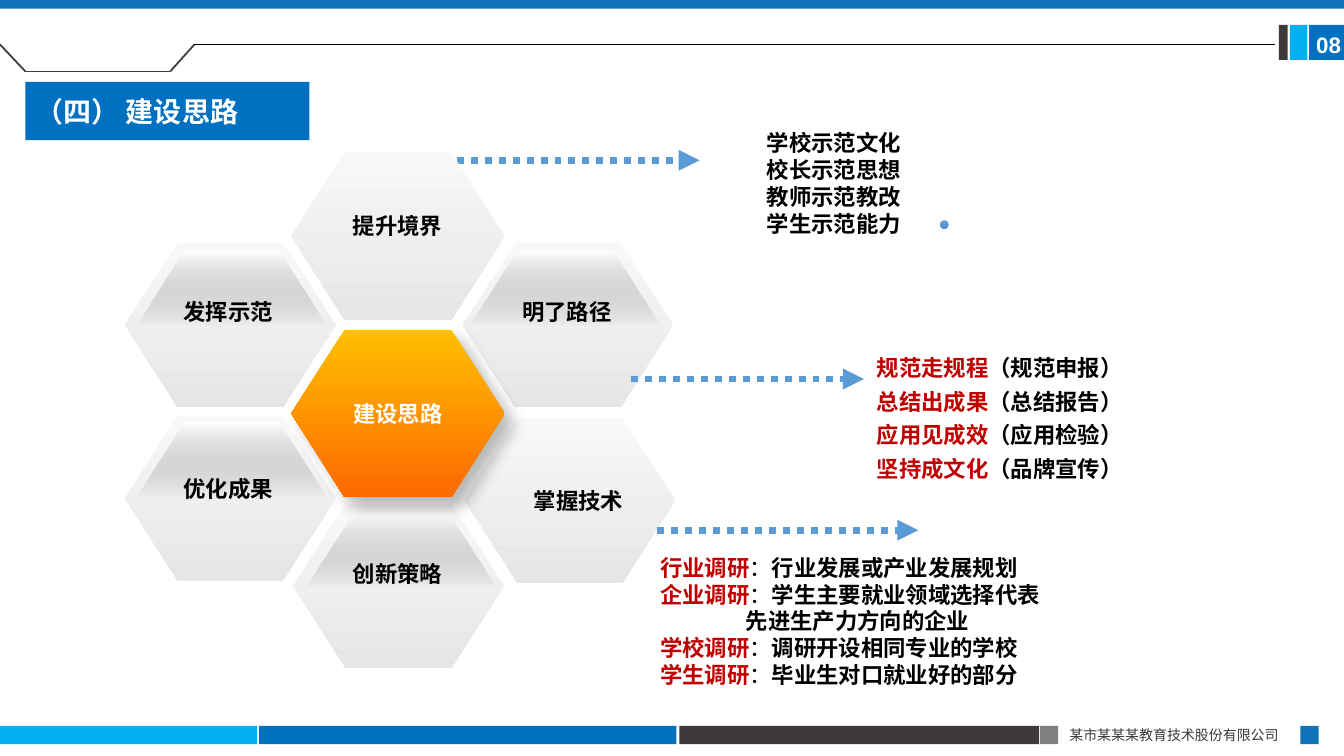
from dataclasses import dataclass
from typing import Optional

from lxml.etree import SubElement
from pptx import Presentation
from pptx.dml.color import RGBColor
from pptx.enum.dml import MSO_LINE
from pptx.enum.shapes import MSO_CONNECTOR, MSO_SHAPE
from pptx.enum.text import MSO_ANCHOR, MSO_AUTO_SIZE, PP_ALIGN
from pptx.oxml.ns import qn
from pptx.util import Cm, Pt


@dataclass(frozen=True)
class Theme:
    blue: str = "0070C0"
    deep_blue: str = "1074BB"
    sky: str = "00B0F0"
    charcoal: str = "3E3A39"
    grey: str = "808080"
    arrow: str = "5B9BD5"
    red: str = "C00000"
    black: str = "000000"
    white: str = "FFFFFF"
    cell: tuple = ("F9F8F8", "E7E6E6")
    gloss: tuple = ("FFFFFF", "767676")
    core: tuple = ("FFC000", "FE6900")
    dot: tuple = ("71A6DB", "448ACA")
    font: str = "Noto Sans CJK SC"
    title_size: int = 20
    body_size: int = 16
    small_size: int = 10


THEME = Theme()


@dataclass(frozen=True)
class Box:
    left: float
    top: float
    width: float
    height: float

    def lengths(self) -> tuple:
        return Cm(self.left), Cm(self.top), Cm(self.width), Cm(self.height)


@dataclass(frozen=True)
class Span:
    text: str
    color: str = THEME.black
    bold: bool = True
    size: int = THEME.body_size
    font: str = THEME.font


@dataclass(frozen=True)
class Para:
    spans: tuple
    indent: float = 0


@dataclass(frozen=True)
class Line:
    start: tuple
    end: tuple
    color: str = THEME.charcoal
    width: float = 1.25
    arrow: bool = False


HEXAGON = ((0.25, 1), (0, 0.5), (0.25, 0), (0.75, 0), (1, 0.5), (0.75, 1))
TRAPEZOID = ((0, 1), (0.25, 0), (0.75, 0), (1, 1))

BARS = (
    (Box(0, 18.29, 6.48, 0.46), THEME.sky),
    (Box(6.53, 18.29, 10.52, 0.46), THEME.blue),
    (Box(17.12, 18.29, 9.07, 0.46), THEME.charcoal),
    (Box(26.21, 18.29, 0.46, 0.46), THEME.grey),
    (Box(32.77, 18.29, 0.46, 0.46), THEME.deep_blue),
    (Box(32.99, 0.63, 0.88, 0.88), THEME.blue),
    (Box(32.51, 0.63, 0.44, 0.88), THEME.sky),
    (Box(32.23, 0.63, 0.22, 0.88), THEME.charcoal),
    (Box(0, 0, 33.87, 0.22), THEME.deep_blue),
)
HEADER_LINES = (
    Line((0.64, 1.8), (4.29, 1.8)),
    Line((4.29, 1.8), (4.9, 1.12)),
    Line((0.64, 1.8), (0, 1.12)),
    Line((4.9, 1.12), (32.13, 1.12), THEME.black, 0.5),
)
ARROWS = tuple(
    Line((start, y), (end, y), THEME.arrow, 5, True)
    for start, end, y in ((11.51, 17.63, 4.04), (15.9, 21.77, 9.55), (16.56, 23.14, 13.36))
)
CELLS = ((7.39, 3.91), (7.39, 12.7), (11.66, 6.12), (3.15, 6.12), (3.15, 10.49))
GLOSSES = ((7.7, 4.06), (3.43, 6.32), (11.84, 6.32), (7.7, 8.48), (3.43, 10.64), (7.7, 12.93))
LABELS = (
    ("创新策略", 7.95, 14),
    ("发挥示范", 3.68, 7.39),
    ("优化成果", 3.68, 11.84),
    ("提升境界", 7.95, 5.23),
    ("明了路径", 12.22, 7.39),
    ("掌握技术", 12.51, 12.14),
)
EXAMPLES = ("学校示范文化", "校长示范思想", "教师示范教改", "学生示范能力")
PATHWAYS = (
    ("规范走规程", "（规范申报）"),
    ("总结出成果", "（总结报告）"),
    ("应用见成效", "（应用检验）"),
    ("坚持成文化", "（品牌宣传）"),
)
SURVEYS = (
    ("行业调研", "行业发展或产业发展规划"),
    ("企业调研", "学生主要就业领域选择代表"),
    ("", "先进生产力方向的企业"),
    ("学校调研", "调研开设相同专业的学校"),
    ("学生调研", "毕业生对口就业好的部分"),
)


def rgb(color: str) -> RGBColor:
    return RGBColor.from_string(color)


def format_run(run, span: Span) -> None:
    run.font.name = span.font
    run.font.size = Pt(span.size)
    run.font.bold = span.bold
    run.font.color.rgb = rgb(span.color)
    SubElement(run.font._element, qn("a:ea"), typeface=THEME.font)


def write(frame, paras: list, align=PP_ALIGN.LEFT, spacing: Optional[float] = None) -> None:
    for index, para in enumerate(paras):
        paragraph = frame.paragraphs[0] if index == 0 else frame.add_paragraph()
        paragraph.alignment = align
        if spacing:
            paragraph.line_spacing = spacing
        if para.indent:
            paragraph._p.get_or_add_pPr().set("marL", str(Cm(para.indent)))
        for span in para.spans:
            run = paragraph.add_run()
            run.text = span.text
            format_run(run, span)


def add_text(page, box: Box, paras: list, align=PP_ALIGN.LEFT,
             spacing: Optional[float] = None, inset: float = 0.25):
    frame = page.shapes.add_textbox(*box.lengths()).text_frame
    frame.word_wrap = True
    frame.margin_left = frame.margin_right = Cm(inset)
    frame.margin_top = frame.margin_bottom = Cm(inset / 2)
    write(frame, paras, align, spacing)


def paint(shape, fill) -> None:
    shape.shadow.inherit = False
    shape.line.fill.background()
    if isinstance(fill, str):
        shape.fill.solid()
        shape.fill.fore_color.rgb = rgb(fill)
        return
    shape.fill.gradient()
    shape.fill.gradient_angle = 270
    for position, (stop, color) in enumerate(zip(shape.fill.gradient_stops, fill)):
        stop.position = position
        stop.color.rgb = rgb(color)


def set_opacity(shape, percent: int) -> None:
    color = shape._element.spPr.findall(".//" + qn("a:srgbClr"))[-1]
    SubElement(color, qn("a:alpha"), val=str(percent * 1000))


def add_polygon(page, outline: tuple, box: Box, fill):
    points = [(Cm(box.left + x * box.width), Cm(box.top + y * box.height)) for x, y in outline]
    builder = page.shapes.build_freeform(*points[0])
    builder.add_line_segments(points[1:], close=True)
    shape = builder.convert_to_shape()
    paint(shape, fill)
    return shape


def add_cell(page, left: float, top: float, fill=THEME.cell):
    return add_polygon(page, HEXAGON, Box(left, top, 5.31, 4.14), fill)


def add_line(page, line: Line) -> None:
    ends = [Cm(value) for value in line.start + line.end]
    connector = page.shapes.add_connector(MSO_CONNECTOR.STRAIGHT, *ends)
    connector.line.color.rgb = rgb(line.color)
    connector.line.width = Pt(line.width)
    if line.arrow:
        connector.line.dash_style = MSO_LINE.ROUND_DOT
        SubElement(connector.line._get_or_add_ln(), qn("a:tailEnd"), type="triangle")
    SubElement(connector._element.spPr, qn("a:effectLst"))


def add_title(page) -> None:
    title = page.shapes.title
    title.left, title.top, title.width, title.height = Box(0.64, 2.06, 7.16, 1.47).lengths()
    title.fill.solid()
    title.fill.fore_color.rgb = rgb(THEME.blue)
    frame = title.text_frame
    frame.auto_size = MSO_AUTO_SIZE.NONE
    frame.vertical_anchor = MSO_ANCHOR.MIDDLE
    span = Span("（四） 建设思路", THEME.white, size=THEME.title_size, font="Calibri")
    write(frame, [Para((span,))])


def add_core(page) -> None:
    core = add_polygon(page, HEXAGON, Box(7.34, 8.31, 5.38, 4.22), THEME.core)
    effects = core._element.spPr.find(qn("a:effectLst"))
    shadow = SubElement(effects, qn("a:outerShdw"), blurRad=str(Pt(11.8)), dist=str(Pt(10)),
                        dir=str(48 * 60000), algn="tl", rotWithShape="0")
    color = SubElement(shadow, qn("a:srgbClr"), val=THEME.black)
    SubElement(color, qn("a:alpha"), val="28000")
    core.text_frame.vertical_anchor = MSO_ANCHOR.MIDDLE
    core.text_frame.word_wrap = False
    write(core.text_frame, [Para((Span("建设思路", THEME.white),))], PP_ALIGN.CENTER)


def add_honeycomb(page) -> None:
    for left, top in CELLS:
        add_cell(page, left, top)
    for left, top in GLOSSES:
        set_opacity(add_polygon(page, TRAPEZOID, Box(left, top, 4.8, 1.88), THEME.gloss), 0)
    rim = add_cell(page, 11.58, 10.46, THEME.white)
    set_opacity(rim, 15)
    rim.line.color.rgb = rgb(THEME.white)
    rim.line.width = Pt(1.75)
    rim.line.dash_style = MSO_LINE.ROUND_DOT
    add_cell(page, 11.71, 10.54)
    add_core(page)
    add_line(page, ARROWS[0])
    add_polygon(page, HEXAGON, Box(7.34, 3.84, 5.38, 4.22), THEME.cell)
    for text, left, top in LABELS:
        add_text(page, Box(left, top, 4.14, 0.94), [Para((Span(text),))], PP_ALIGN.CENTER)


def survey_para(topic: str, detail: str) -> Para:
    if not topic:
        return Para((Span(detail),), 2.16)
    return Para((Span(topic, THEME.red), Span("：", bold=False), Span(detail)))


def add_notes(page) -> None:
    add_text(page, Box(19, 3.1, 5.72, 3.07), [Para((Span(text),)) for text in EXAMPLES], inset=0.33)
    pathways = [Para((Span(goal, THEME.red), Span(means))) for goal, means in PATHWAYS]
    add_text(page, Box(21.77, 8.59, 7.92, 3.76), pathways, spacing=1.25, inset=0.33)
    surveys = [survey_para(topic, detail) for topic, detail in SURVEYS]
    add_text(page, Box(16.31, 13.79, 13.67, 3.76), surveys, inset=0.33)


def main() -> None:
    deck = Presentation()
    deck.slide_width, deck.slide_height = Cm(33.87), Cm(19.05)
    page = deck.slides.add_slide(deck.slide_layouts[5])
    for box, color in BARS:
        paint(page.shapes.add_shape(MSO_SHAPE.RECTANGLE, *box.lengths()), color)
    company = Span("某市某某某教育技术股份有限公司", THEME.charcoal, False, THEME.small_size)
    add_text(page, Box(26.7, 18.19, 6.1, 0.69), [Para((company,))])
    for line in HEADER_LINES:
        add_line(page, line)
    add_title(page)
    add_honeycomb(page)
    dot = page.shapes.add_shape(MSO_SHAPE.OVAL, *Box(23.7, 5.56, 0.2, 0.2).lengths())
    paint(dot, THEME.dot)
    dot.line.color.rgb = rgb(THEME.arrow)
    dot.line.width = Pt(0.5)
    for arrow in ARROWS[1:]:
        add_line(page, arrow)
    add_notes(page)
    add_text(page, Box(32.92, 0.66, 1.27, 0.94), [Para((Span("08", THEME.white, font="Arial"),))])
    deck.save("out.pptx")


if __name__ == "__main__":
    main()
